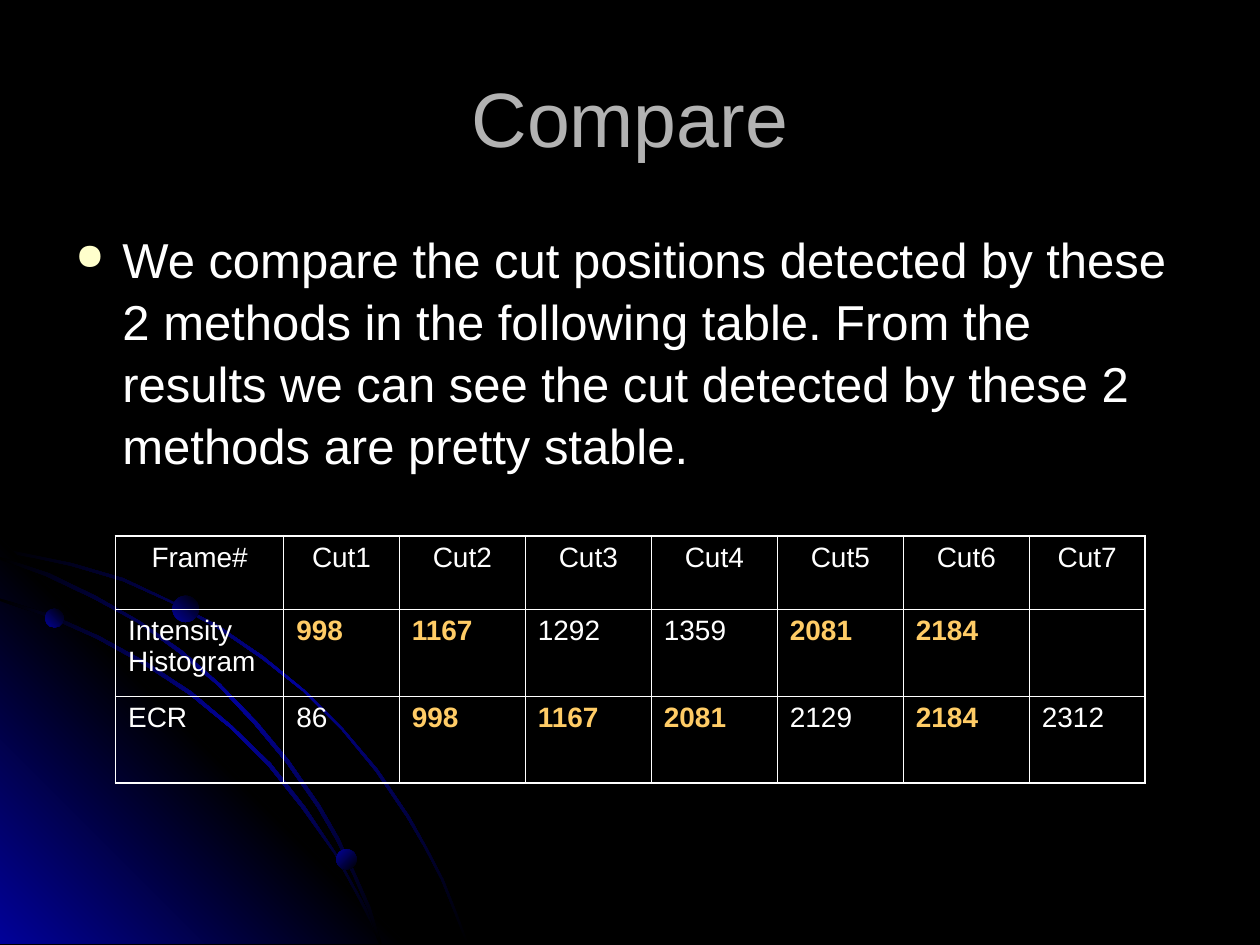
from dataclasses import dataclass

from lxml.etree import SubElement
from pptx import Presentation
from pptx.dml.color import RGBColor as Rgb
from pptx.enum.shapes import MSO_SHAPE as Shape
from pptx.enum.text import MSO_ANCHOR as Anchor, PP_ALIGN as Align
from pptx.oxml.ns import qn
from pptx.util import Cm, Pt


@dataclass(frozen=True)
class Theme:
    """Colours, font and type sizes of the slide."""
    night: str = "000000"
    glow: str = "010199"
    title: str = "B2B2B2"
    text: str = "FFFFFF"
    bullet: str = "FFFFCC"
    shared: str = "FFCC66"
    font: str = "Arial"
    title_size: int = 44
    body_size: int = 28
    cell_size: int = 16
    thin: float = 0.45
    thick: float = 1.08


THEME = Theme()
GRID = Cm(0.0254)
BEAM = (THEME.night, THEME.glow, THEME.night)
CORNER = (THEME.glow, THEME.night, THEME.glow)
ORB = (THEME.night, THEME.glow)

WIDE_ARC = [
    (57, 447), (28, 441), (0, 435), (0, 438), (28, 443), (56, 449), (97, 461),
    (135, 478), (173, 499), (208, 523), (241, 549), (271, 579), (298, 612),
    (323, 649), (337, 673), (350, 698), (360, 723), (370, 749), (372, 749),
    (362, 723), (352, 698), (339, 673), (325, 648), (300, 611), (272, 578),
    (242, 548), (209, 521), (174, 497), (136, 477), (98, 459)]
WEDGE = [(322, 749), (0, 749), (0, 427)]
LOW_ARC = [
    (285, 714), (294, 732), (301, 749), (303, 749), (296, 730), (286, 712),
    (266, 676), (242, 640), (215, 606), (184, 576), (152, 549), (117, 526),
    (79, 505), (41, 488), (0, 475), (0, 477), (39, 490), (77, 507), (115, 528),
    (150, 551), (183, 578), (213, 608), (240, 642), (265, 677)]
MIDDLE_ARC = [
    (0, 442), (0, 444), (36, 457), (74, 475), (109, 494), (142, 518), (173, 544),
    (202, 575), (227, 605), (252, 641), (267, 667), (280, 694), (292, 722),
    (301, 749), (303, 749), (294, 720), (282, 693), (269, 665), (254, 639),
    (229, 603), (204, 573), (175, 543), (144, 516), (111, 493), (76, 473), (39, 455)]
OUTLINES = [(WIDE_ARC, BEAM, 225), (WEDGE, CORNER, 135),
            (LOW_ARC, BEAM, 225), (MIDDLE_ARC, BEAM, 225)]
ORBS = [(0.91, 12.27, 0.38, 135), (6.78, 17.12, 0.41, 225), (3.48, 12.01, 0.53, 135)]

BODY = ("We compare the cut positions detected by these 2 methods in the following "
        "table. From the results we can see the cut detected by these 2 methods "
        "are pretty stable.")
HEADER = ["Frame#"] + [f"Cut{number}" for number in range(1, 8)]
HISTOGRAM = ["Intensity Histogram", "998", "1167", "1292", "1359", "2081", "2184", ""]
ECR = ["ECR", "86", "998", "1167", "2081", "2129", "2184", "2312"]
COLUMNS = [3.39, 2.33] + [2.54] * 5 + [2.33]
ROWS = [1.48, 1.75, 1.75]


def paint_gradient(shape, colours, angle):
    """Fill a shape with evenly spaced colours along a clockwise angle."""
    shape.shadow.inherit = False
    shape.line.fill.background()
    shape.fill.gradient()
    shape.fill.gradient_angle = 360 - angle
    stops = next(shape.element.iter(qn("a:gsLst")))
    stops.clear()
    for index, colour in enumerate(colours):
        position = 100000 * index // (len(colours) - 1)
        stop = SubElement(stops, qn("a:gs"), pos=str(position))
        SubElement(stop, qn("a:srgbClr"), val=colour)


def add_outline(page, points, colours, angle):
    """Draw a closed outline from grid points."""
    builder = page.shapes.build_freeform(*points[0], scale=GRID)
    builder.add_line_segments(points[1:], close=True)
    paint_gradient(builder.convert_to_shape(), colours, angle)


def add_orb(page, left, top, size, angle):
    """Draw a small glowing circle."""
    orb = page.shapes.add_shape(Shape.OVAL, Cm(left), Cm(top), Cm(size), Cm(size))
    paint_gradient(orb, ORB, angle)


def write(para, text, size, colour, bold=False):
    """Put styled text in a paragraph."""
    para.text = text
    para.font.name = THEME.font
    para.font.size = Pt(size)
    para.font.bold = bold
    para.font.color.rgb = Rgb.from_string(colour)


def add_text(page, top, height, text, size, colour):
    """Add a wrapped full-width text box and return it."""
    box = page.shapes.add_textbox(Cm(1.27), Cm(top), Cm(22.86), Cm(height))
    box.text_frame.word_wrap = True
    write(box.text_frame.paragraphs[0], text, size, colour)
    return box


def add_bullet(para):
    """Give a paragraph a hanging round bullet."""
    para.space_before = Pt(7)
    para.line_spacing = 1.05
    props = para._p.get_or_add_pPr()
    props.set("marL", str(Cm(0.95)))
    props.set("indent", str(-Cm(0.95)))
    marks = []
    colour = SubElement(props, qn("a:buClr"))
    SubElement(colour, qn("a:srgbClr"), val=THEME.bullet)
    marks.append(colour)
    marks.append(SubElement(props, qn("a:buSzPct"), val="75000"))
    marks.append(SubElement(props, qn("a:buChar"), char="●"))
    defaults = props.find(qn("a:defRPr"))
    for mark in marks:
        defaults.addprevious(mark)


def add_borders(cell, outer_sides):
    """Rule a cell on all sides, thicker on the table's outer sides."""
    props = cell._tc.get_or_add_tcPr()
    for side in "LRTB":
        width = THEME.thick if side in outer_sides else THEME.thin
        line = SubElement(props, qn(f"a:ln{side}"), w=str(Pt(width)))
        fill = SubElement(line, qn("a:solidFill"))
        SubElement(fill, qn("a:srgbClr"), val=THEME.text)
    cell.fill.background()


def add_cut_table(page):
    """Add the cut table, highlighting cuts found by both methods."""
    rows = [HEADER, HISTOGRAM, ECR]
    shared = set(HISTOGRAM) & set(ECR)
    frame = page.shapes.add_table(len(ROWS), len(COLUMNS), Cm(2.33), Cm(10.8),
                                  Cm(sum(COLUMNS)), Cm(sum(ROWS)))
    table = frame.table
    table.first_row = table.horz_banding = False
    for column, width in zip(table.columns, COLUMNS):
        column.width = Cm(width)
    for y, (row, height, values) in enumerate(zip(table.rows, ROWS, rows)):
        row.height = Cm(height)
        for x, (cell, value) in enumerate(zip(row.cells, values)):
            para = cell.text_frame.paragraphs[0]
            found = value in shared
            write(para, value, THEME.cell_size, THEME.shared if found else THEME.text, found)
            para.space_before = Pt(4)
            para.alignment = Align.LEFT if y else Align.CENTER
            edges = {"L": x == 0, "R": x == len(COLUMNS) - 1,
                     "T": y == 0, "B": y == len(ROWS) - 1}
            add_borders(cell, [side for side, outer in edges.items() if outer])


def main():
    """Build and save the slide."""
    deck = Presentation()
    deck.slide_width, deck.slide_height = Cm(25.4), Cm(19.05)
    page = deck.slides.add_slide(deck.slide_layouts[6])
    page.background.fill.solid()
    page.background.fill.fore_color.rgb = Rgb.from_string(THEME.night)
    for outline in OUTLINES:
        add_outline(page, *outline)
    for orb in ORBS:
        add_orb(page, *orb)
    title = add_text(page, 0.76, 3.18, "Compare", THEME.title_size, THEME.title)
    title.text_frame.vertical_anchor = Anchor.MIDDLE
    title.text_frame.paragraphs[0].alignment = Align.CENTER
    body = add_text(page, 4.45, 5.28, BODY, THEME.body_size, THEME.text)
    add_bullet(body.text_frame.paragraphs[0])
    add_cut_table(page)
    deck.save("out.pptx")


if __name__ == "__main__":
    main()
